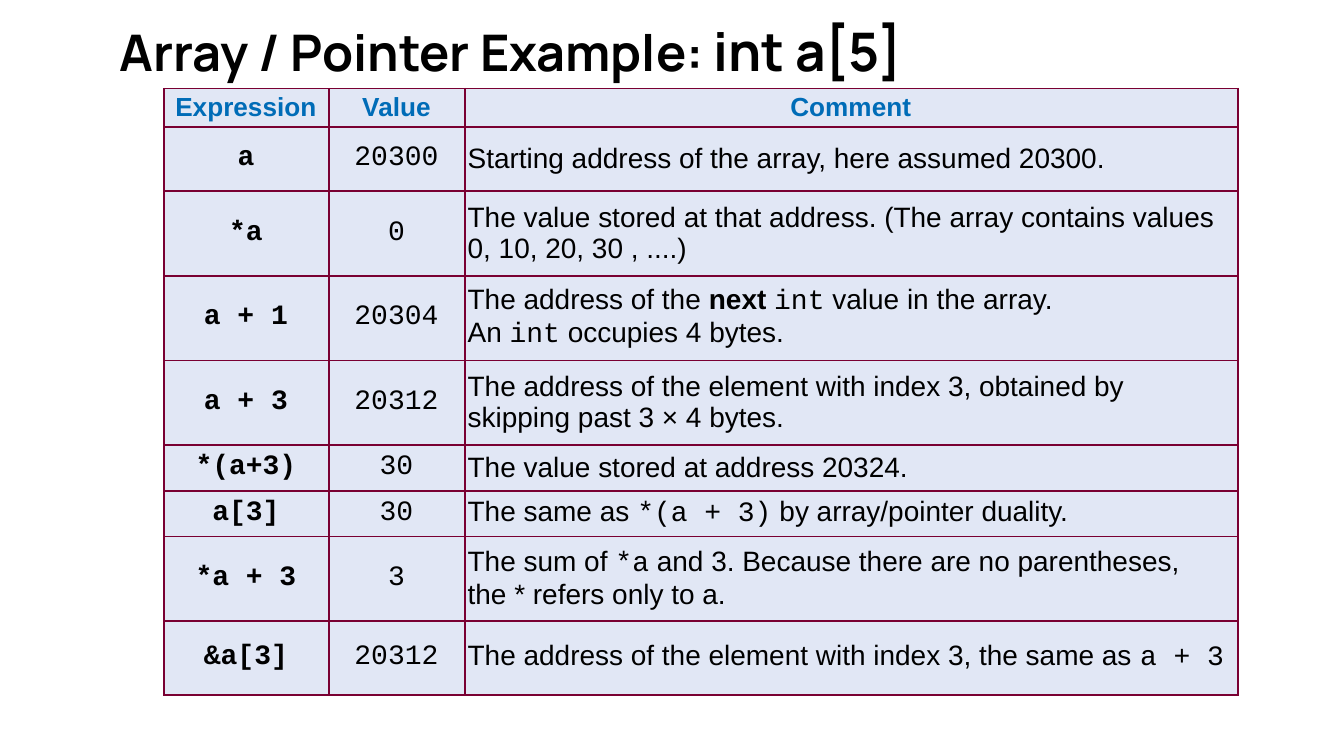
"""Build a slide with a table of array and pointer expressions."""
from lxml.etree import SubElement as Sub
from pptx import Presentation
from pptx.dml.color import RGBColor
from pptx.enum.text import MSO_ANCHOR as Anchor, PP_ALIGN as Align
from pptx.oxml.ns import qn
from pptx.util import Inches, Pt

BLACK = RGBColor(0x00, 0x00, 0x00)
BLUE = RGBColor(0x00, 0x6C, 0xB7)
PALE = RGBColor(0xE1, 0xE7, 0xF5)
WINE = RGBColor(0x79, 0x00, 0x32)

HARD = chr(160)
SANS = dict(font="Arial")
BOLD = dict(font="Arial", bold=True)
MONO = dict(font="Courier New")
CODE = dict(font="Courier New", bold=True)
HEAD = dict(font="Arial", size=14, color=BLUE, bold=True)


def write(para, text, font="Arial", size=15, color=BLACK, bold=False):
    run = para.add_run()
    run.text = text.replace("~", HARD)
    run.font.name = font
    run.font.size = Pt(size)
    run.font.bold = bold
    run.font.color.rgb = color


def border(cell):
    props = cell._tc.get_or_add_tcPr()
    for spot, side in enumerate(("lnL", "lnR", "lnT", "lnB")):
        line = Sub(props, qn("a:" + side), w=str(Pt(1)))
        fill = Sub(line, qn("a:solidFill"))
        Sub(fill, qn("a:srgbClr"), val=str(WINE))
        props.insert(spot, line)


deck = Presentation()
deck.slide_width = Inches(10)
deck.slide_height = Inches(10) * 9 // 16
slide = deck.slides.add_slide(deck.slide_layouts[6])

title = slide.shapes.add_textbox(Inches(0.79), Inches(0.19), Inches(7.99), Inches(0.47))
frame = title.text_frame
frame.word_wrap = True
frame.vertical_anchor = Anchor.BOTTOM
para = frame.paragraphs[0]
write(para, "Array / Pointer Example: ", font="Manrope", size=27, bold=True)
write(para, "int a[5]", font="Manrope", size=28.5, bold=True)

rows = [
    ("a", "20300", [("Starting address of the array, here assumed 20300.", SANS)]),
    ("*a", "0", [("The value stored at that address. (The array contains values "
                  "0, 10, 20, 30 , ....)", SANS)]),
    ("a + 1", "20304", [("The address of the ", SANS), ("next~", BOLD), ("int", MONO),
                        ("~value in the array. An~", SANS), ("int", MONO),
                        ("~occupies 4 bytes.", SANS)]),
    ("a + 3", "20312", [("The address of the element with index 3, obtained by "
                         "skipping past 3~×~4 bytes.", SANS)]),
    ("*(a+3)", "30", [("The value stored at address 20324.", SANS)]),
    ("a[3]", "30", [("The same as~", SANS), ("*(a + 3)", MONO),
                    ("~by array/pointer duality.", SANS)]),
    ("*a + 3", "3", [("The sum of~", SANS), ("*a", MONO),
                     ("~and 3. Because there are no parentheses, "
                      "the~*~refers only to~a.", SANS)]),
    ("&a[3]", "20312", [("The address of the element with index 3, the same as~", SANS),
                        ("a + 3", MONO)]),
]
cells = [[[(name, HEAD)] for name in ("Expression", "Value", "Comment")]]
cells += [[[(code, CODE)], [(value, MONO)], note] for code, value, note in rows]

widths = [1.23, 1.01, 5.75]
heights = [0.28, 0.48, 0.63, 0.63, 0.63, 0.34, 0.34, 0.63, 0.55]
table = slide.shapes.add_table(len(heights), len(widths), Inches(1.22), Inches(0.66),
                               Inches(sum(widths)), Inches(sum(heights))).table
for col, width in zip(table.columns, widths):
    col.width = Inches(width)
for row, height in zip(table.rows, heights):
    row.height = Inches(height)

for r, line in enumerate(cells):
    for c, runs in enumerate(line):
        cell = table.cell(r, c)
        cell.fill.solid()
        cell.fill.fore_color.rgb = PALE
        cell.vertical_anchor = Anchor.MIDDLE
        cell.margin_left = cell.margin_top = Inches(0.02)
        cell.margin_right = cell.margin_bottom = Inches(0.03)
        border(cell)
        para = cell.text_frame.paragraphs[0]
        para.alignment = Align.LEFT if r and c == 2 else Align.CENTER
        for text, style in runs:
            write(para, text, **style)

deck.save("out.pptx")
